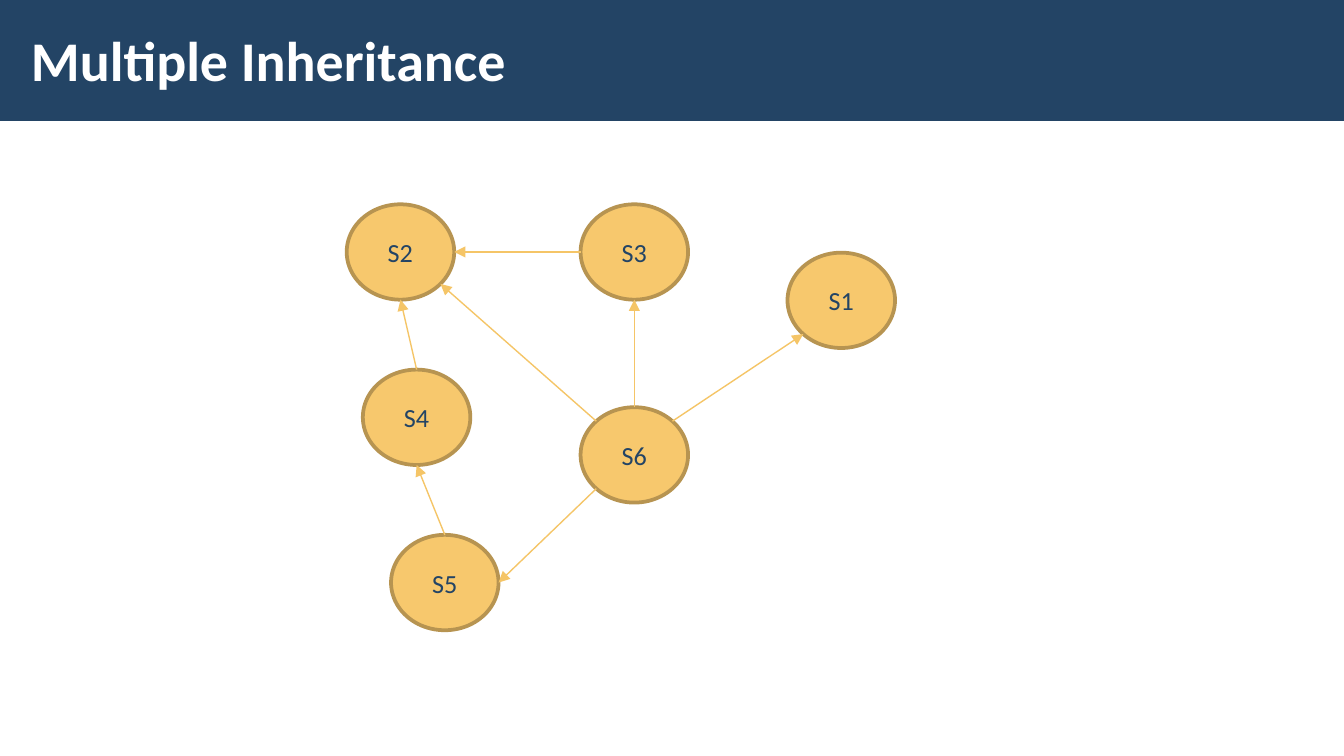
"""Build the Multiple Inheritance slide: a title band over a graph of six nodes."""
import math

import lxml.etree
import pptx
import pptx.dml.color
import pptx.enum.shapes
import pptx.enum.text
import pptx.oxml.ns
import pptx.util

Inches = pptx.util.Inches
Pt = pptx.util.Pt
Anchor = pptx.enum.text.MSO_ANCHOR
Align = pptx.enum.text.PP_ALIGN
Kind = pptx.enum.shapes.MSO_SHAPE

TITLE = "Multiple Inheritance"
NODES = {
    "S5": (2.91, 3.98),
    "S4": (2.7, 2.75),
    "S1": (5.86, 1.88),
    "S2": (2.58, 1.52),
    "S3": (4.32, 1.52),
    "S6": (4.32, 3.03),
}
EDGES = [
    ("S6", "top", "S3", "bottom"),
    ("S6", "top right", "S1", "bottom left"),
    ("S3", "left", "S2", "right"),
    ("S4", "top", "S2", "bottom"),
    ("S5", "top", "S4", "bottom"),
    ("S6", "bottom left", "S5", "right"),
    ("S6", "top left", "S2", "low right"),
]
SIDES = {
    "right": 0, "low right": 42, "bottom": 90, "bottom left": 135,
    "left": 180, "top left": 225, "top": 270, "top right": 315,
}
WIDE, HIGH = 0.8, 0.71
THEME = {
    "navy": "234465", "gold": "F7C86D", "rim": "B79451", "edge": "F5C567",
    "title": {"name": "Calibri", "size": Pt(30), "bold": True, "color": "FFFFFF"},
    "label": {"name": "Calibri", "size": Pt(14), "bold": False, "color": "234465"},
}


def color(code):
    return pptx.dml.color.RGBColor.from_string(code)


def paint(fill, code):
    fill.solid()
    fill.fore_color.rgb = color(code)


def write(shape, text, style, align, inset):
    frame = shape.text_frame
    form = {"word_wrap": True, "vertical_anchor": Anchor.MIDDLE}
    for side in ("left", "right", "top", "bottom"):
        form["margin_" + side] = Inches(inset)
    for key, value in form.items():
        setattr(frame, key, value)
    para = frame.paragraphs[0]
    para.alignment = align
    run = para.add_run()
    run.text = text
    for key, value in THEME[style].items():
        if key == "color":
            run.font.color.rgb = color(value)
        else:
            setattr(run.font, key, value)


def add_form(slide, kind, box, fill):
    shape = slide.shapes.add_shape(kind, *map(Inches, box))
    shape.shadow.inherit = False
    paint(shape.fill, fill)
    return shape


def add_head(slide):
    band = add_form(slide, Kind.RECTANGLE, (0, 0, 10, 0.9), THEME["navy"])
    band.line.fill.background()
    box = slide.shapes.add_textbox(*map(Inches, (0.16, 0.08, 7.8, 0.72)))
    write(box, TITLE, "title", Align.LEFT, 0.07)


def add_node(slide, name):
    node = add_form(slide, Kind.OVAL, (*NODES[name], WIDE, HIGH), THEME["gold"])
    paint(node.line.fill, THEME["rim"])
    node.line.width = Pt(2)
    write(node, name, "label", Align.CENTER, 0.05)


def point(name, side):
    left, top = NODES[name]
    turn = math.radians(SIDES[side])
    return (Inches(left + WIDE / 2 * (1 + math.cos(turn))),
            Inches(top + HIGH / 2 * (1 + math.sin(turn))))


def add_edge(slide, start, out, end, into):
    edge = slide.shapes.add_connector(
        pptx.enum.shapes.MSO_CONNECTOR.STRAIGHT, *point(start, out), *point(end, into))
    paint(edge.line.fill, THEME["edge"])
    edge.line.width = Pt(0.75)
    props = edge._element.spPr
    name = pptx.oxml.ns.qn
    lxml.etree.SubElement(props.get_or_add_ln(), name("a:tailEnd"), type="triangle")
    lxml.etree.SubElement(props, name("a:effectLst"))


def main():
    deck = pptx.Presentation()
    deck.slide_width, deck.slide_height = Inches(10), Inches(10 * 9 / 16)
    slide = deck.slides.add_slide(deck.slide_layouts[6])
    add_head(slide)
    for name in NODES:
        add_node(slide, name)
    for edge in EDGES:
        add_edge(slide, *edge)
    deck.save("out.pptx")


if __name__ == "__main__":
    main()
